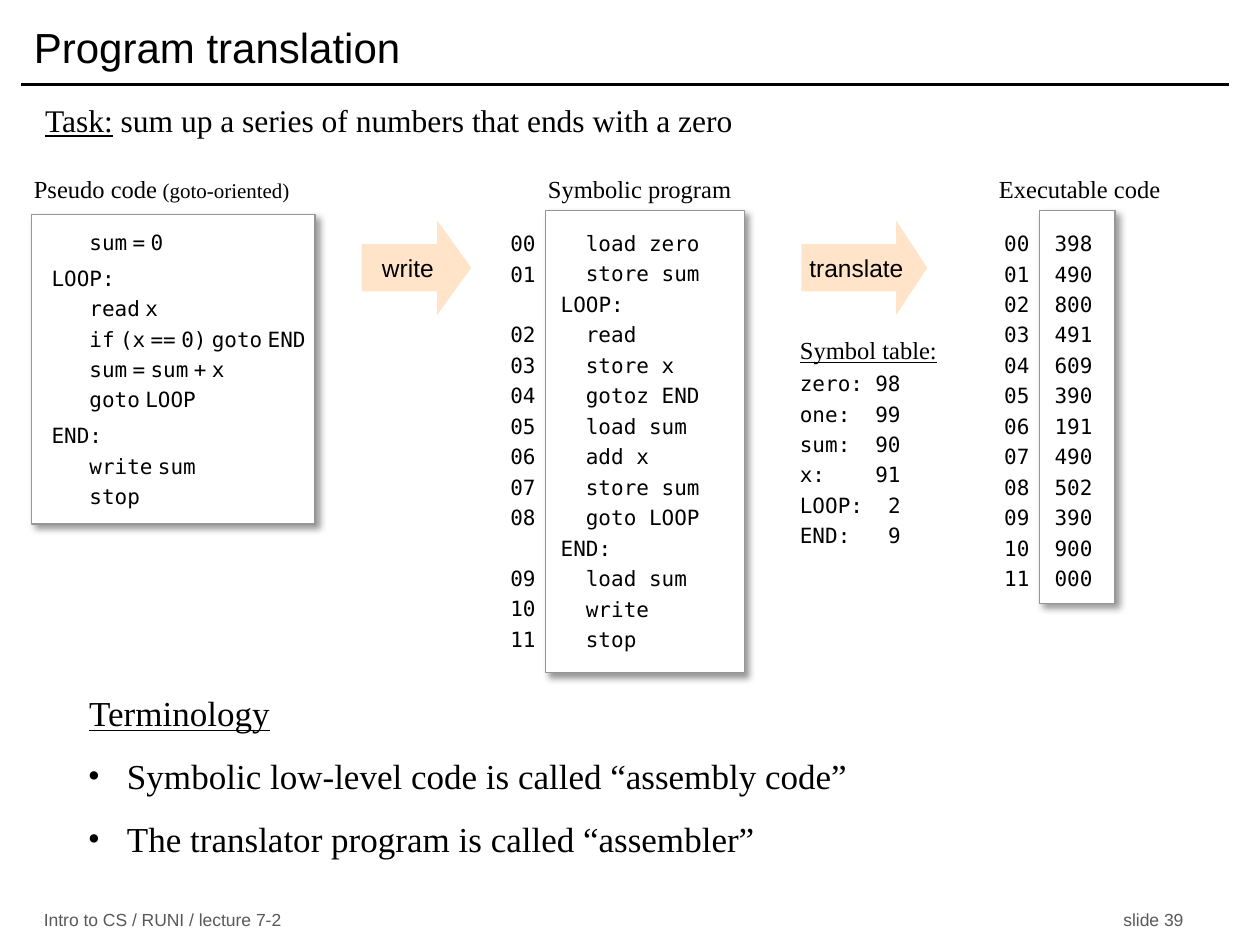
import pptx
import pptx.util
import pptx.oxml
import pptx.dml.color
import pptx.enum.shapes
import pptx.enum.text
from pptx.util import Inches, Pt

SERIF, SANS, MONO = "Times New Roman", "Arial", "DejaVu Sans Mono"
TOP, MIDDLE = pptx.enum.text.MSO_ANCHOR.TOP, pptx.enum.text.MSO_ANCHOR.MIDDLE
LEFT, CENTER, RIGHT = (pptx.enum.text.PP_ALIGN.LEFT, pptx.enum.text.PP_ALIGN.CENTER,
                       pptx.enum.text.PP_ALIGN.RIGHT)
RECTANGLE = pptx.enum.shapes.MSO_SHAPE.RECTANGLE
ARROW = pptx.enum.shapes.MSO_SHAPE.RIGHT_ARROW
NAMESPACE = 'xmlns:a="http://schemas.openxmlformats.org/drawingml/2006/main"'
CODE_INDENT = 0.1  # width of one 12 pt code character
CODE_PITCH = 17.4  # distance between code lines, in points
color = pptx.dml.color.RGBColor.from_string

deck = pptx.Presentation()
deck.slide_width, deck.slide_height = Inches(10), Inches(7.5)
slide = deck.slides.add_slide(deck.slide_layouts[6])


def add_frame(left, top, width, height, preset=None, fill="FFFFFF", line=None,
              insets=(0.1, 0.05, 0.1, 0.05), anchor=TOP, wrap=True):
    """Add a text box, or a filled shape if a preset is given."""
    place = [Inches(length) for length in (left, top, width, height)]
    if preset is None:
        shape = slide.shapes.add_textbox(*place)
    else:
        shape = slide.shapes.add_shape(preset, *place)
        shape.shadow.inherit = False
        shape.fill.solid()
        shape.fill.fore_color.rgb = color(fill)
        if line:
            shape.line.color.rgb = color(line)
            shape.line.width = Pt(0.75)
        else:
            shape.line.fill.background()
    frame = shape.text_frame
    frame.word_wrap = wrap
    frame.vertical_anchor = anchor
    (frame.margin_left, frame.margin_top,
     frame.margin_right, frame.margin_bottom) = [Inches(inset) for inset in insets]
    return shape


def write(shape, text, size=12, font=MONO, ink="000000", underline=False, align=LEFT,
          before=3, space_size=None, paragraph=None):
    """Write one paragraph per line, or add a run to the given paragraph.

    Leading spaces become an indent, an empty line becomes space before the next
    one, and space_size sets the size of the spaces between words.
    """
    frame = shape.text_frame
    skipped = 0
    for row in text.split("\n"):
        if not row:
            skipped += 1
            continue
        if paragraph is None:
            target = frame.paragraphs[0] if not frame.text else frame.add_paragraph()
            target.alignment = align
            target.space_before = Pt(before + skipped * CODE_PITCH)
            indent = len(row) - len(row.lstrip(" "))
            if indent:
                target._p.get_or_add_pPr().set("marL", str(Inches(indent * CODE_INDENT)))
            row = row.lstrip(" ")
        else:
            target = paragraph
        skipped = 0
        pieces = row.replace(" ", "| |").split("|") if space_size else [row]
        for piece in pieces:
            run = target.add_run()
            run.text = piece
            run.font.name = font
            run.font.size = Pt(space_size if piece == " " else size)
            run.font.color.rgb = color(ink)
            run.font.underline = underline
    return target


# Title, rule and footer
write(add_frame(0.17, 0.08, 9.58, 0.58, anchor=MIDDLE), "Program translation", size=24, font=SANS)
rule = slide.shapes.add_connector(pptx.enum.shapes.MSO_CONNECTOR.STRAIGHT,
                                  Inches(0.17), Inches(0.67), Inches(9.75), Inches(0.67))
rule.line.color.rgb = color("000000")
rule.line.width = Pt(2)
rule._element.spPr.append(pptx.oxml.parse_xml(f"<a:effectLst {NAMESPACE}/>"))
for left, width, footer, align in [(0.25, 4, "Intro to CS / RUNI / lecture 7-2", LEFT),
                                   (7.5, 1.99, "slide 39", RIGHT)]:
    write(add_frame(left, 7.19, width, 0.22, anchor=MIDDLE), footer,
          size=10, font=SANS, ink="595959", align=align)

# Task
task = add_frame(0.26, 0.75, 8, 0.33)
task_line = write(task, "Task:", size=18, font=SERIF, underline=True)
write(task, " sum up a series of numbers that ends with a zero", size=18, font=SERIF,
      paragraph=task_line)

# Column headings
for left, width, heading, remark in [(0.17, 2.42, "Pseudo code", " (goto-oriented)"),
                                     (4.25, 2.42, "Symbolic program", ""),
                                     (7.83, 2.1, "Executable code", "")]:
    heading_box = add_frame(left, 1.33, width, 0.42)
    heading_line = write(heading_box, heading, size=14, font=SERIF)
    if remark:
        write(heading_box, remark, font=SERIF, paragraph=heading_line)

# Code listings
pseudo_code = """   sum = 0
LOOP:
   read x
   if (x == 0) goto END
   sum = sum + x
   goto LOOP
END:
   write sum
   stop"""
symbolic_program = """  load zero
  store sum
LOOP:
  read
  store x
  gotoz END
  load sum
  add x
  store sum
  goto LOOP
END:
  load sum
  write
  stop"""
executable_code = "398 490 800 491 609 390 191 490 502 390 900 000".replace(" ", "\n")
TOP_INSETS = (0.12, 0.16, 0, 0.21)
listings = [
    (0.25, 1.7, 2.25, 2.46, pseudo_code, (0.16, 0, 0, 0), MIDDLE, 5),
    (4.33, 1.67, 1.58, 3.67, symbolic_program, TOP_INSETS, TOP, None),
    (8.25, 1.67, 0.6, 3.12, executable_code, TOP_INSETS, TOP, None),
]
for left, top, width, height, code, insets, anchor, space_size in listings:
    listing = add_frame(left, top, width, height, RECTANGLE, line="969696",
                        insets=insets, anchor=anchor)
    effects = listing._element.spPr.find(
        "{http://schemas.openxmlformats.org/drawingml/2006/main}effectLst")
    effects.append(pptx.oxml.parse_xml(
        f'<a:outerShdw {NAMESPACE} blurRad="{Pt(4)}" dist="{Pt(3)}" dir="2700000" '
        'algn="tl" rotWithShape="0"><a:srgbClr val="000000"><a:alpha val="40000"/>'
        '</a:srgbClr></a:outerShdw>'))
    write(listing, code, space_size=space_size)
    if code == pseudo_code:
        for line in listing.text_frame.paragraphs:
            if line.text.endswith(":"):
                line.space_before = Pt(6)

# Line numbers; labels in the symbolic program have none
addresses = [f"{number:02d}" for number in range(12)]
label_gaps = ["\n" + address if address in ("02", "09") else address for address in addresses]
for left, numbers in [(4, label_gaps), (7.92, addresses)]:
    write(add_frame(left, 1.67, 0.25, 3.75, insets=(0, 0.16, 0, 0.21)),
          "\n".join(numbers), align=RIGHT)

# Steps between the listings
for left, width, step, head in [(2.87, 0.87, "write", 0.36), (6.36, 1, "translate", 0.33)]:
    arrow = add_frame(left, 1.75, width, 0.75, ARROW, fill="FFE4C9", anchor=MIDDLE, wrap=False)
    arrow.adjustments[1] = head
    write(arrow, step, size=14, font=SANS, align=CENTER)

# Symbol table, with the addresses on a right tab
symbol_table = add_frame(6.25, 2.64, 1.42, 1.77)
write(symbol_table, "Symbol table:", size=14, font=SERIF, underline=True).line_spacing = 0.9
for symbol, address in [("zero", 98), ("one", 99), ("sum", 90), ("x", 91), ("LOOP", 2), ("END", 9)]:
    entry = write(symbol_table, f"{symbol}:\t{address}")
    entry._p.get_or_add_pPr().append(pptx.oxml.parse_xml(
        f'<a:tabLst {NAMESPACE}><a:tab pos="{Inches(0.8)}" algn="r"/></a:tabLst>'))

# Terminology
terminology = add_frame(0.6, 5.44, 9.2, 1.87)
topic = write(terminology, "Terminology", size=20, font=SERIF, underline=True)
topic._p.get_or_add_pPr().set("indent", str(Inches(0.01)))
for term in ["Symbolic low-level code is called “assembly code”",
             "The translator program is called “assembler”"]:
    properties = write(terminology, term, size=20, font=SERIF, before=12)._p.get_or_add_pPr()
    properties.set("marL", str(Inches(0.31)))
    properties.set("indent", str(-Inches(0.31)))
    properties.append(pptx.oxml.parse_xml(f'<a:buFont {NAMESPACE} typeface="{SERIF}"/>'))
    properties.append(pptx.oxml.parse_xml(f'<a:buChar {NAMESPACE} char="•"/>'))

deck.save("out.pptx")
